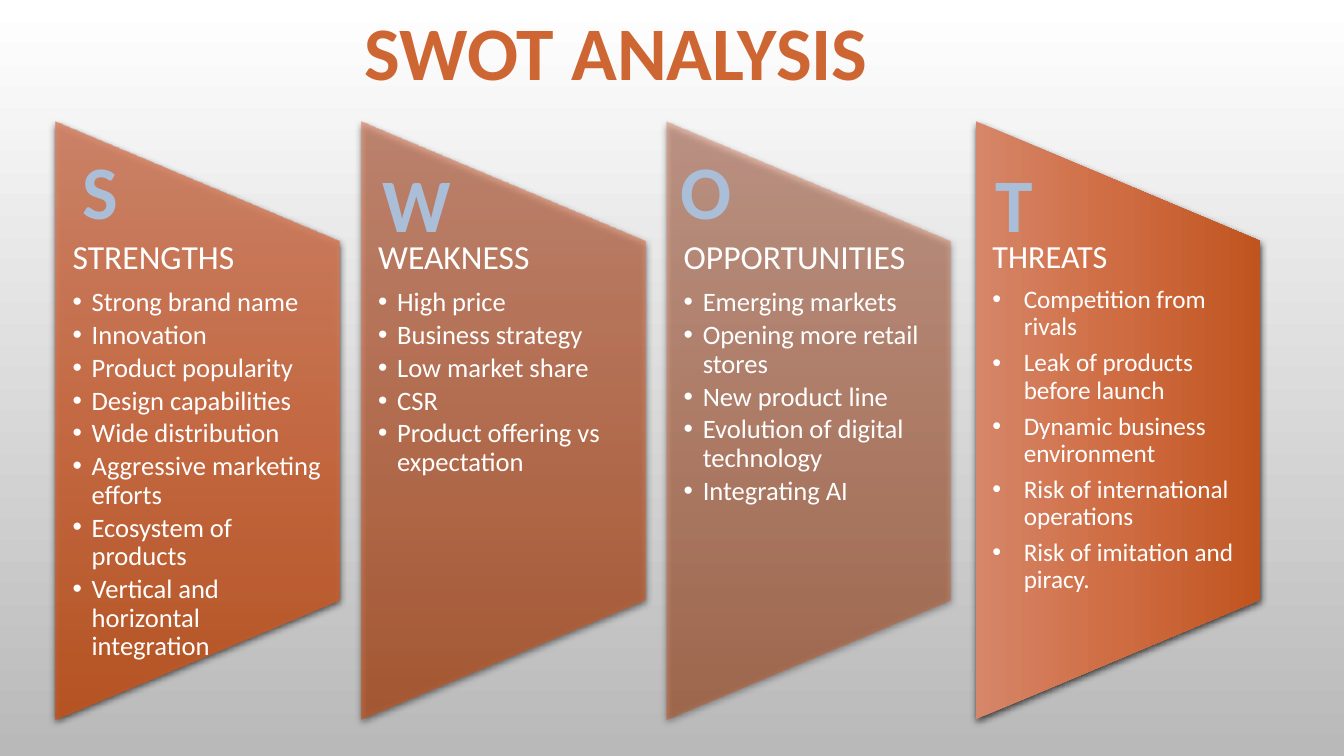
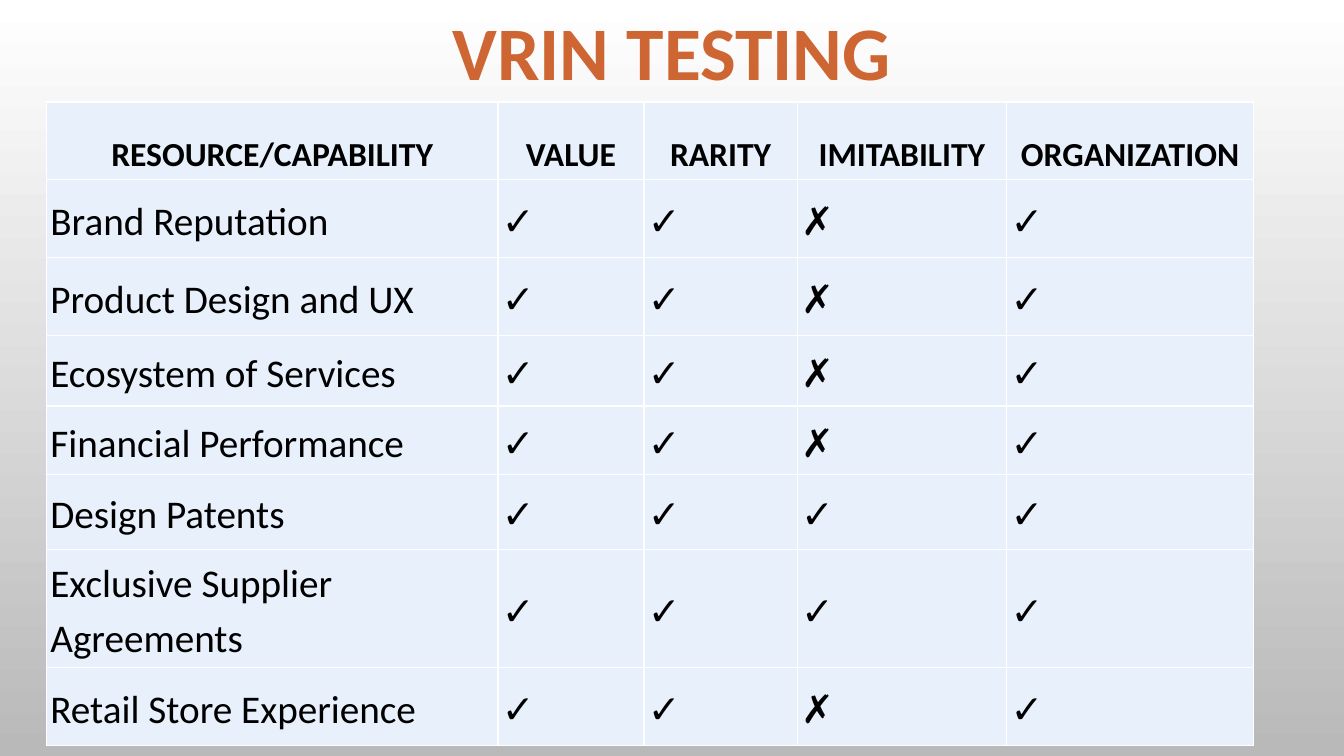
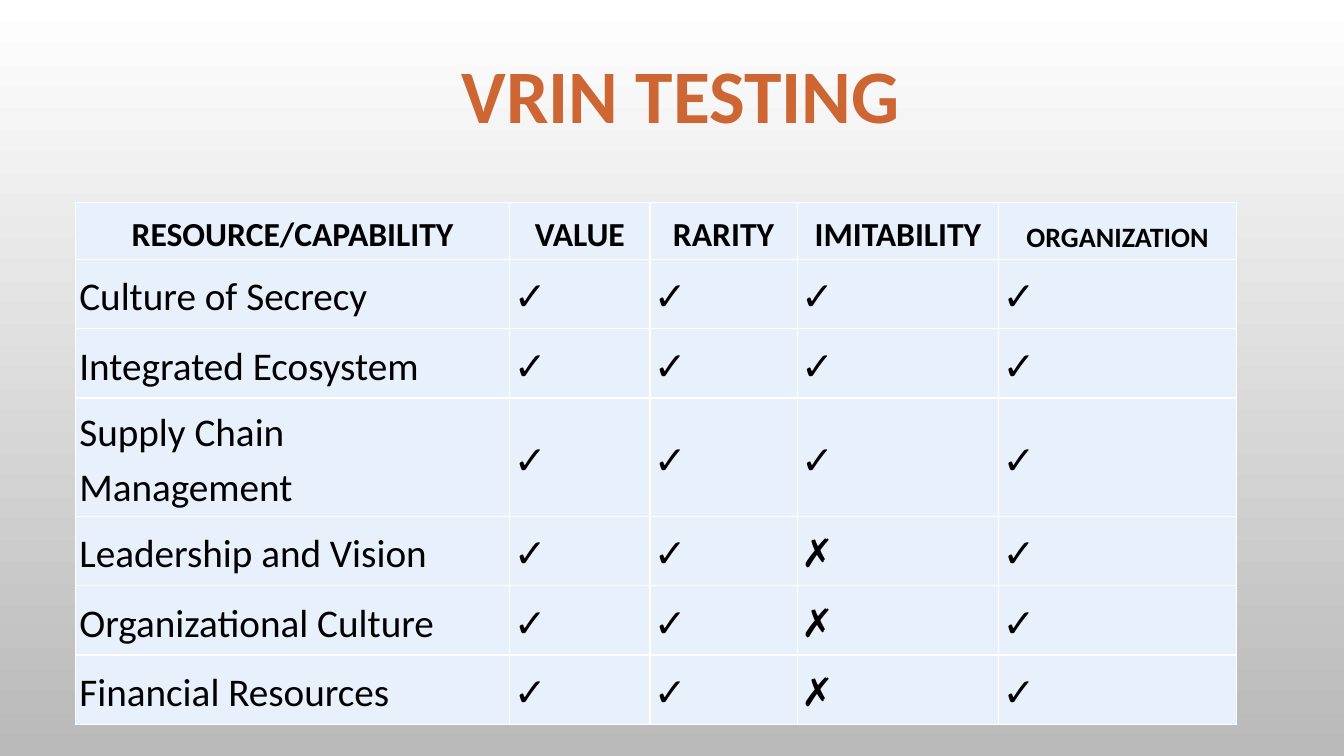
import lxml.etree
import pptx
import pptx.dml.color
import pptx.enum.shapes
import pptx.enum.text
import pptx.oxml.ns
import pptx.util

Cm = pptx.util.Cm
Pt = pptx.util.Pt
RGB = pptx.dml.color.RGBColor
ANCHOR = pptx.enum.text.MSO_ANCHOR
ALIGN = pptx.enum.text.PP_ALIGN

WHITE = RGB(0xFF, 0xFF, 0xFF)
BLACK = RGB(0, 0, 0)
GREY = RGB(0xB9, 0xB9, 0xB9)
RUST = RGB(0xCE, 0x66, 0x33)
SKY = RGB(0xAA, 0xBE, 0xD7)
ICE = RGB(0xE8, 0xF0, 0xFC)
STOPS = [
    (0, RGB(0xD6, 0x86, 0x69)),
    (50, RGB(0xCF, 0x6C, 0x42)),
    (100, RGB(0xC0, 0x54, 0x1F)),
]
FONT = "Calibri"

TIGHT = dict(head=24, size=19, after=0.15, indent=0.48, inset=0.43)
LOOSE = dict(head=23, size=18, after=0.35, indent=0.79, inset=0.41)

SWOT = [
    dict(left=1.4, alpha=90, turn=0, style=TIGHT, mark=("S", 1.8, 3.5, 1.45),
         head="STRENGTHS",
         items=["Strong brand name", "Innovation", "Product popularity",
                "Design capabilities", "Wide distribution",
                "Aggressive marketing efforts", "Ecosystem of products",
                "Vertical and horizontal integration"]),
    dict(left=9.1, alpha=70, turn=0, style=TIGHT, mark=("W", 9.37, 3.84, 2.29),
         head="WEAKNESS",
         items=["High price", "Business strategy", "Low market share", "CSR",
                "Product offering vs expectation"]),
    dict(left=16.8, alpha=50, turn=0, style=TIGHT, mark=("O", 16.87, 3.5, 1.83),
         head="OPPORTUNITIES",
         items=["Emerging markets", "Opening more retail stores",
                "New product line", "Evolution of digital technology",
                "Integrating AI"]),
    dict(left=24.6, alpha=100, turn=1, style=LOOSE, mark=("T", 24.82, 3.84, 1.47),
         head="THREATS",
         items=["Competition from rivals", "Leak of products before launch",
                "Dynamic business environment",
                "Risk of international operations",
                "Risk of imitation and piracy."]),
]

HEADS = ["RESOURCE/CAPABILITY", "VALUE", "RARITY", "IMITABILITY", "ORGANIZATION"]
ASSETS = [
    ("Brand Reputation", "✓✓✗✓"),
    ("Product Design and UX", "✓✓✗✓"),
    ("Ecosystem of Services", "✓✓✗✓"),
    ("Financial Performance", "✓✓✗✓"),
    ("Design Patents", "✓✓✓✓"),
    ("Exclusive Supplier Agreements", "✓✓✓✓"),
    ("Retail Store Experience", "✓✓✗✓"),
]
SKILLS = [
    ("Culture of Secrecy", "✓✓✓✓"),
    ("Integrated Ecosystem", "✓✓✓✓"),
    ("Supply Chain Management", "✓✓✓✓"),
    ("Leadership and Vision", "✓✓✗✓"),
    ("Organizational Culture", "✓✓✗✓"),
    ("Financial Resources", "✓✓✗✓"),
]

PANEL_TOP, PANEL_WIDE, PANEL_HIGH = 3.06, 7.16, 15.06
LIST_TOP, LIST_HIGH = 6.07, 9.04
LINE_HIGH = 2.57


def add(node, tag, **attrs):
    child = lxml.etree.SubElement(node, pptx.oxml.ns.qn("a:" + tag))
    for key, val in attrs.items():
        child.set(key, str(val))
    return child


def paint(par, size, color, bold=False):
    for run in par.runs:
        run.font.name = FONT
        run.font.size = Pt(size)
        run.font.bold = bold
        run.font.color.rgb = color


def place(shape, left, top, width, height):
    shape.left, shape.top = Cm(left), Cm(top)
    shape.width, shape.height = Cm(width), Cm(height)


def set_line(frame, text, color):
    frame.text = text
    frame.word_wrap = False
    frame.auto_size = pptx.enum.text.MSO_AUTO_SIZE.NONE
    frame.vertical_anchor = ANCHOR.TOP
    frame.paragraphs[0].alignment = ALIGN.CENTER
    paint(frame.paragraphs[0], 54, color, True)


def new_slide(deck, layout, title, left, top, width):
    slide = deck.slides.add_slide(deck.slide_layouts[layout])
    place(slide.shapes.title, left, top, width, LINE_HIGH)
    set_line(slide.shapes.title.text_frame, title, RUST)
    return slide


def add_panel(slide, left, alpha, turn):
    panel = slide.shapes.add_shape(
        pptx.enum.shapes.MSO_SHAPE.FLOWCHART_MANUAL_OPERATION,
        Cm(left + (PANEL_WIDE - PANEL_HIGH) / 2),
        Cm(PANEL_TOP + (PANEL_HIGH - PANEL_WIDE) / 2),
        Cm(PANEL_HIGH), Cm(PANEL_WIDE))
    panel.rotation = 270
    panel.line.fill.background()
    panel.fill.background()
    panel.shadow.inherit = False
    props = panel.element.spPr
    blank = props.find(pptx.oxml.ns.qn("a:noFill"))
    grad = add(props, "gradFill", rotWithShape=turn)
    props.replace(blank, grad)
    stops = add(grad, "gsLst")
    for pos, color in STOPS:
        tint = add(add(stops, "gs", pos=pos * 1000), "srgbClr", val=color)
        add(tint, "alpha", val=alpha * 1000)
    add(grad, "lin", ang=5400000, scaled=0)
    cast = add(props.find(pptx.oxml.ns.qn("a:effectLst")), "outerShdw",
               blurRad=Pt(5), dist=Pt(2), dir=5400000, rotWithShape=0)
    add(add(cast, "srgbClr", val=BLACK), "alpha", val=69000)
    slide.shapes[0].element.addprevious(panel.element)


def fill_list(holder, left, head, items, style):
    place(holder, left, LIST_TOP, PANEL_WIDE, LIST_HIGH)
    frame = holder.text_frame
    frame.text = "\n".join([head] + items)
    frame.word_wrap = True
    frame.auto_size = pptx.enum.text.MSO_AUTO_SIZE.NONE
    frame.vertical_anchor = ANCHOR.TOP
    frame.margin_left = frame.margin_right = Cm(style["inset"])
    frame.margin_top = frame.margin_bottom = 0
    for num, par in enumerate(frame.paragraphs):
        size, after, indent = style["size"], style["after"], Cm(style["indent"])
        if num == 0:
            size, after, indent = style["head"], 0.35, 0
        props = par._p.get_or_add_pPr()
        props.set("marL", str(indent))
        props.set("indent", str(-indent))
        if num:
            add(props, "buFont", typeface="Arial")
            add(props, "buChar", char="•")
        else:
            add(props, "buNone")
        par.alignment = ALIGN.LEFT
        par.line_spacing = 0.9
        par.space_before = Pt(0)
        par.space_after = Pt(size * after)
        paint(par, size, WHITE)


def add_mark(slide, text, left, top, width):
    box = slide.shapes.add_textbox(Cm(left), Cm(top), Cm(width), Cm(LINE_HIGH))
    set_line(box.text_frame, text, SKY)


def style_cell(cell, text, head, size):
    cell.text = text
    cell.margin_left = cell.margin_right = Cm(0.1)
    cell.margin_top = cell.margin_bottom = Cm(0.1)
    cell.vertical_anchor = ANCHOR.BOTTOM if head else ANCHOR.MIDDLE
    props = cell._tc.get_or_add_tcPr()
    for side in "LRTB":
        edge = add(props, "ln" + side, w=Pt(1))
        add(add(edge, "solidFill"), "srgbClr", val=WHITE)
    cell.fill.solid()
    cell.fill.fore_color.rgb = ICE
    par = cell.text_frame.paragraphs[0]
    par.alignment = ALIGN.CENTER if head else ALIGN.LEFT
    par.line_spacing = 1.15
    paint(par, size, BLACK, head)


def add_grid(slide, left, top, widths, heights, rows, last=24):
    table = slide.shapes.add_table(
        len(rows), len(widths), Cm(left), Cm(top),
        Cm(sum(widths)), Cm(sum(heights))).table
    table.first_row = table.horz_banding = False
    for col, width in zip(table.columns, widths):
        col.width = Cm(width)
    for row, height, texts in zip(table.rows, heights, rows):
        row.height = Cm(height)
        head = texts is HEADS
        for cell, text in zip(row.cells, texts):
            size = 28
            if head:
                size = last if text == HEADS[-1] else 24
            style_cell(cell, text, head, size)


def spread(pairs):
    return [[name, *marks] for name, marks in pairs]


def main():
    deck = pptx.Presentation()
    deck.slide_width, deck.slide_height = Cm(33.87), Cm(19.05)
    back = deck.slide_master.background.fill
    back.gradient()
    back.gradient_angle = 270
    for stop, color, pos in zip(back.gradient_stops, (WHITE, GREY), (0, 1)):
        stop.color.rgb = color
        stop.position = pos

    slide = new_slide(deck, 4, "SWOT ANALYSIS", 8.86, 0, 13.34)
    holders = list(slide.placeholders)[1:]
    for part, holder in zip(SWOT, holders):
        add_panel(slide, part["left"], part["alpha"], part["turn"])
        fill_list(holder, part["left"], part["head"], part["items"], part["style"])
        add_mark(slide, *part["mark"])

    slide = new_slide(deck, 5, "VRIN TESTING", 11.1, 0, 11.66)
    add_grid(slide, 1.17, 2.57, [11.38, 3.68, 3.86, 5.28, 6.22],
             [1.96, 1.96, 1.96, 1.78, 1.73, 1.88, 1.75, 1.96],
             [HEADS] + spread(ASSETS))

    slide = new_slide(deck, 5, "VRIN TESTING", 5.38, 1.09, 23.55)
    widths = [10.95, 3.53, 3.71, 5.08, 5.99]
    add_grid(slide, 1.9, 6.53, widths, [1.75] * len(SKILLS), spread(SKILLS))
    add_grid(slide, 1.9, 5.11, widths, [1.42], [HEADS], last=20)

    deck.save("out.pptx")


if __name__ == "__main__":
    main()
